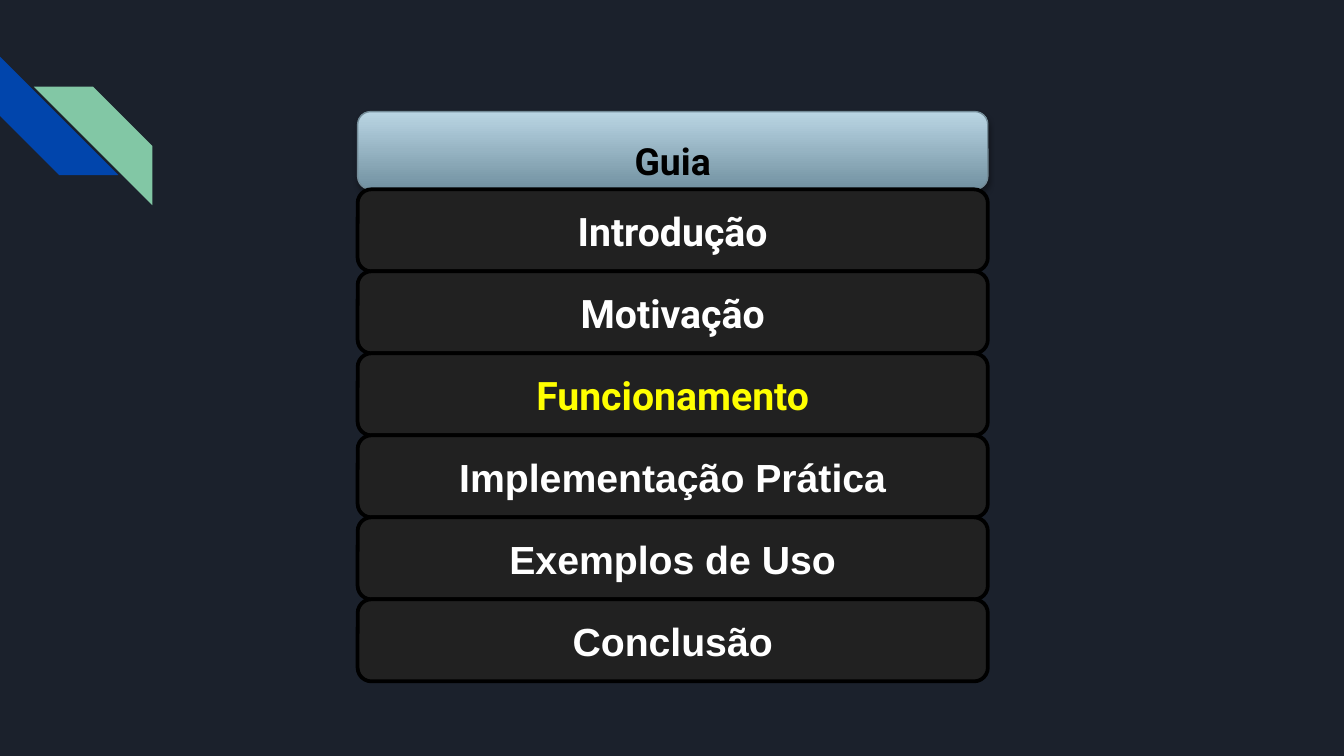
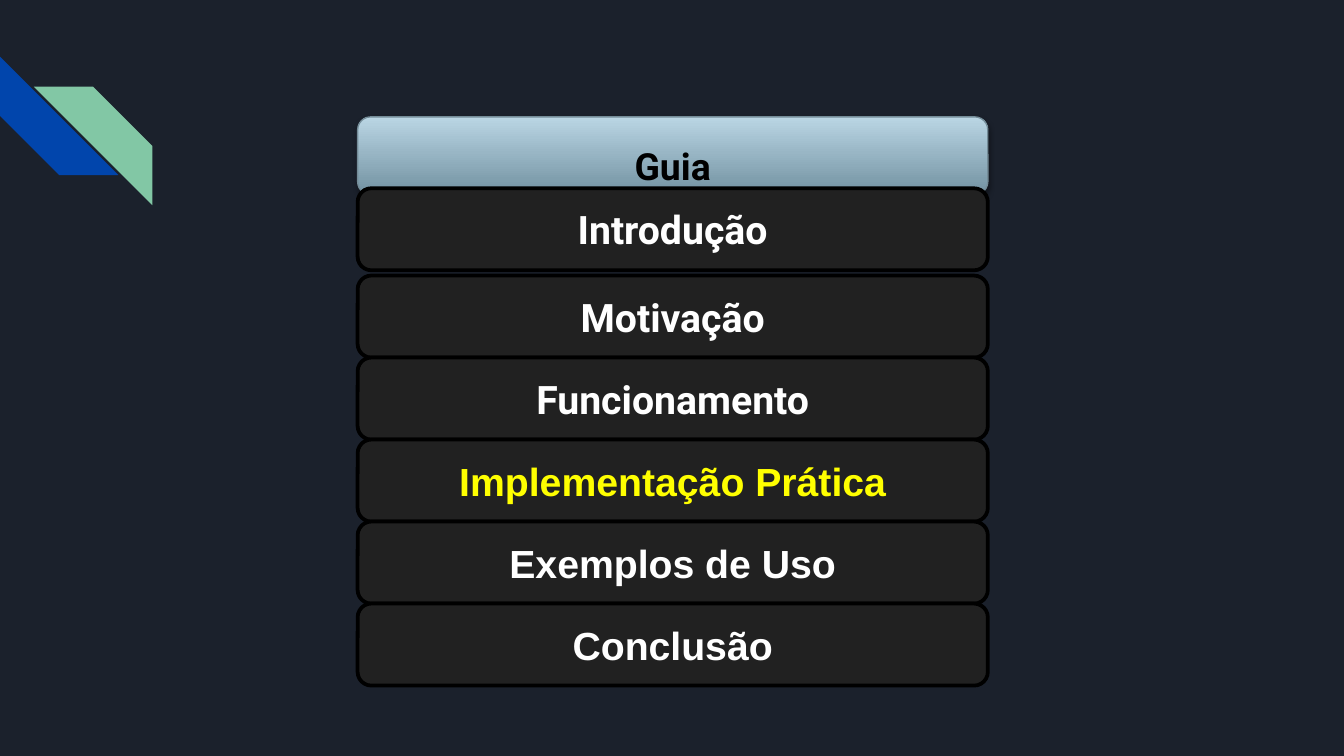
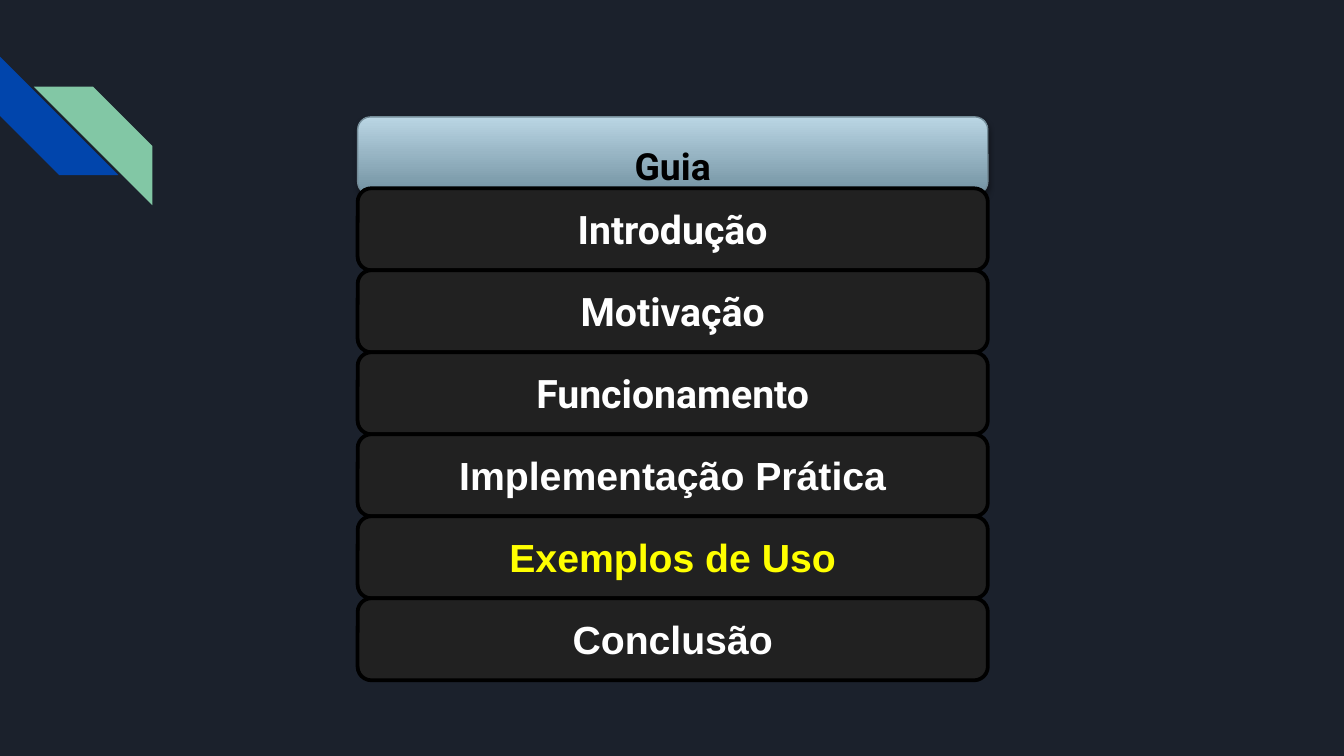
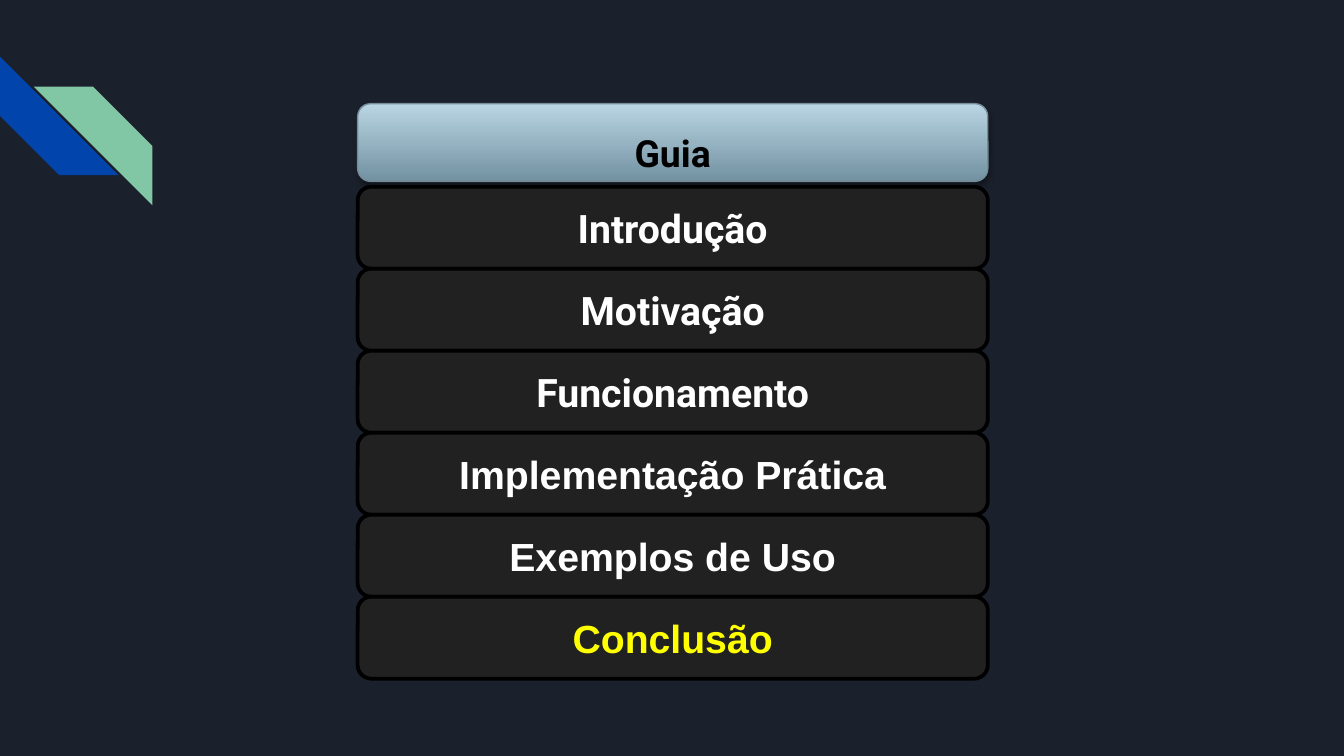
from lxml import etree
from pptx import Presentation
from pptx.dml.color import RGBColor
from pptx.enum.shapes import MSO_SHAPE
from pptx.enum.text import MSO_ANCHOR, PP_ALIGN
from pptx.oxml.ns import qn
from pptx.util import Cm, Pt

ROUNDED = MSO_SHAPE.ROUNDED_RECTANGLE
STRIPE = MSO_SHAPE.DIAGONAL_STRIPE
MIDDLE = MSO_ANCHOR.MIDDLE
CENTER = PP_ALIGN.CENTER

# Colours
NAVY, BLUE, GREEN = "1B212C", "0145AC", "82C7A5"
HEADER_DARK, HEADER_LIGHT, HEADER_LINE = "7291A1", "BAD6E4", "748C98"
ITEM_FILL, BLACK, WHITE, YELLOW = "212121", "000000", "FFFFFF", "FFFF00"

# Menu sizes in centimetres
MENU_LEFT, MENU_WIDTH = 6.76, 11.91
HEADER_HEIGHT, ITEM_HEIGHT = 1.47, 1.55
INSET = 0.25

TOPICS = [
    ("Introdução", "Roboto"),
    ("Motivação", "Roboto"),
    ("Funcionamento", "Roboto"),
    ("Implementação Prática", "Arial"),
    ("Exemplos de Uso", "Arial"),
    ("Conclusão", "Arial"),
]

# Current topic, header top, first item top, gap after the first item
GUIDES = [
    ("Funcionamento", 2.11, 3.58, 0),
    ("Implementação Prática", 2.21, 3.56, 0.1),
    ("Exemplos de Uso", 2.21, 3.56, 0),
    ("Conclusão", 1.96, 3.53, 0),
]


def color(value):
    return RGBColor.from_string(value)


def write_text(shape, text, *, size, font, fill, top=INSET, bottom=INSET):
    frame = shape.text_frame
    frame.word_wrap = True
    frame.vertical_anchor = MIDDLE
    frame.margin_left = frame.margin_right = Cm(INSET)
    frame.margin_top, frame.margin_bottom = Cm(top), Cm(bottom)
    paragraph = frame.paragraphs[0]
    paragraph.alignment = CENTER
    run = paragraph.add_run()
    run.text = text
    run.font.size = Pt(size)
    run.font.name = font
    run.font.bold = True
    run.font.color.rgb = color(fill)


def add_box(shapes, kind, left, top, width, height, *, fill, adjustment,
            line=None, line_width=0):
    shape = shapes.add_shape(kind, Cm(left), Cm(top), Cm(width), Cm(height))
    shape.shadow.inherit = False
    shape.adjustments[0] = adjustment
    shape.fill.solid()
    shape.fill.fore_color.rgb = color(fill)
    if line:
        shape.line.color.rgb = color(line)
        shape.line.width = Pt(line_width)
    else:
        shape.line.fill.background()
    return shape


def add_shadow(shape, *, fill, opacity, blur, distance, direction):
    effects = shape.element.spPr.find(qn("a:effectLst"))
    shadow = etree.SubElement(
        effects, qn("a:outerShdw"), blurRad=str(Pt(blur)), dist=str(Pt(distance)),
        dir=str(direction * 60000), algn="ctr", rotWithShape="0")
    tint = etree.SubElement(shadow, qn("a:srgbClr"), val=fill)
    etree.SubElement(tint, qn("a:alpha"), val=str(opacity * 1000))


def add_stripes(slide, left, top, side):
    """Two mirrored diagonal stripes at the slide's left edge."""
    shapes = slide.shapes.add_group_shape().shapes
    for offset_x, offset_y, fill, rotation in [(0, 0, BLUE, 270),
                                               (0.64, 0.57, GREEN, 90)]:
        stripe = add_box(shapes, STRIPE, left + offset_x, top + offset_y,
                         side, side, fill=fill, adjustment=0.5)
        stripe.rotation = rotation


def add_header(slide, left, top, width):
    header = add_box(slide.shapes, ROUNDED, left, top, width, HEADER_HEIGHT,
                     fill=HEADER_DARK, adjustment=0.167,
                     line=HEADER_LINE, line_width=0.75)
    header.fill.gradient()
    header.fill.gradient_angle = 90
    for stop, shade in zip(header.fill.gradient_stops, (HEADER_DARK, HEADER_LIGHT)):
        stop.color.rgb = color(shade)
    add_shadow(header, fill=BLACK, opacity=35, blur=3.1, distance=1.8, direction=90)
    # Uneven insets lower the title within the band
    write_text(header, "Guia", size=20, font="Roboto", fill=BLACK, top=0.37, bottom=0)


def add_topics(slide, left, top, width, current, gap):
    for index, (topic, font) in enumerate(TOPICS):
        item_top = top + index * ITEM_HEIGHT + (gap if index else 0)
        item = add_box(slide.shapes, ROUNDED, left, item_top, width, ITEM_HEIGHT,
                       fill=ITEM_FILL, adjustment=0.167, line=BLACK, line_width=2)
        write_text(item, topic, size=21, font=font,
                   fill=YELLOW if topic == current else WHITE)


def add_guide_slide(presentation, current, header_top, topics_top, gap):
    slide = presentation.slides.add_slide(presentation.slide_layouts[6])
    add_stripes(slide, 0, 1.07, 2.24)
    add_header(slide, MENU_LEFT, header_top, MENU_WIDTH)
    add_topics(slide, MENU_LEFT, topics_top, MENU_WIDTH, current, gap)


def main():
    presentation = Presentation()
    presentation.slide_width, presentation.slide_height = Cm(25.4), Cm(14.29)
    background = presentation.slide_master.background.fill
    background.solid()
    background.fore_color.rgb = color(NAVY)
    for guide in GUIDES:
        add_guide_slide(presentation, *guide)
    presentation.save("out.pptx")


if __name__ == "__main__":
    main()
